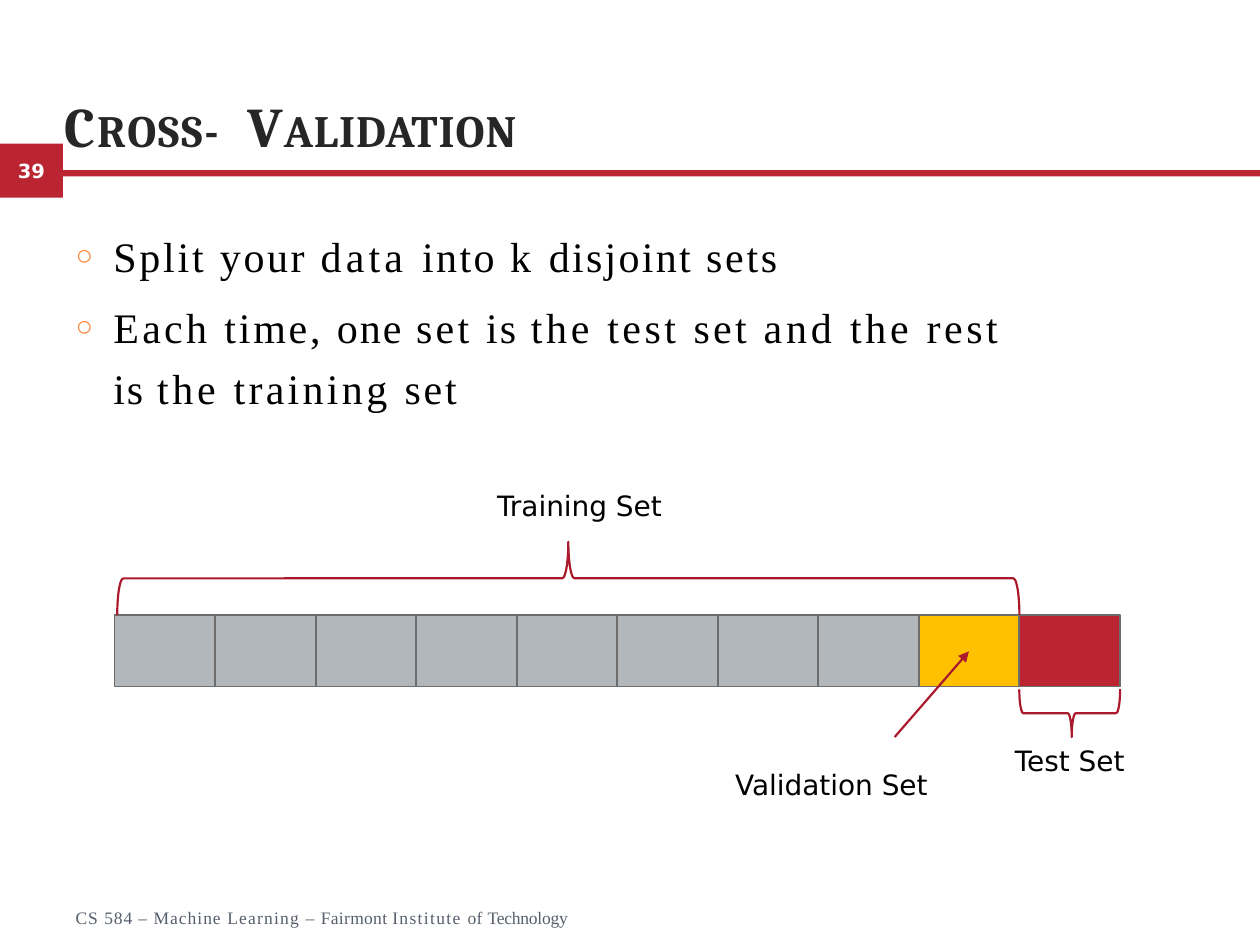
from lxml import etree
from pptx import Presentation
from pptx import util as u
from pptx.dml.color import RGBColor
from pptx.enum import shapes, text
from pptx.oxml.ns import qn

RED, BRACE, GREY, YELLOW, EDGE = "BB2532", "AB192D", "B2B7BB", "FFC000", "6D6D6D"
SERIF, SANS = "Times New Roman", "DejaVu Sans"


def rgb(value):
    return RGBColor.from_string(value)


class Deck:
    """Holds the drawing style and the current slide."""

    def __init__(self, slide):
        self.s = slide

    def place(self, sp, box):
        sp.left, sp.top, sp.width, sp.height = map(u.Inches, box)

    def frame(self, sp, insets, anchor=text.MSO_ANCHOR.TOP, wrap=True):
        tf = sp.text_frame
        tf.auto_size = text.MSO_AUTO_SIZE.NONE
        tf.word_wrap = wrap
        tf.vertical_anchor = anchor
        tf.margin_left, tf.margin_top, tf.margin_right, tf.margin_bottom = map(u.Inches, insets)
        return tf

    def runs(self, p, parts, size, font, color, bold=False, small_caps=False):
        """Add (wording, letter spacing in points) pairs to a paragraph."""
        for wording, spacing in parts:
            r = p.add_run()
            r.text = wording
            r.font.size, r.font.name, r.font.bold = u.Pt(size), font, bold
            r.font.color.rgb = rgb(color)
            rPr = r._r.get_or_add_rPr()
            if spacing:
                rPr.set("spc", str(round(spacing * 100)))
            if small_caps:
                rPr.set("cap", "small")

    def indent(self, p, left, first):
        pPr = p._p.get_or_add_pPr()
        pPr.set("marL", str(u.Inches(left)))
        pPr.set("indent", str(u.Inches(first)))
        return pPr

    def bullet(self, p, char, color, percent):
        pPr = self.indent(p, 0.31, -0.3)
        clr = etree.SubElement(pPr, qn("a:buClr"))
        etree.SubElement(clr, qn("a:srgbClr"), val=color)
        etree.SubElement(pPr, qn("a:buSzPct"), val=str(percent * 1000))
        etree.SubElement(pPr, qn("a:buFont"), typeface=SERIF)
        etree.SubElement(pPr, qn("a:buChar"), char=char)

    def title(self, box, parts):
        sp = self.s.shapes.title
        self.place(sp, box)
        p = self.frame(sp, (0, 0.01, 0, 0), text.MSO_ANCHOR.BOTTOM).paragraphs[0]
        p.alignment = text.PP_ALIGN.LEFT
        p.space_before = u.Pt(1)
        self.indent(p, 0.01, 0)
        self.runs(p, parts, 32, "Cambria", "262626", bold=True, small_caps=True)

    def bullets(self, box, items):
        sp = self.s.placeholders[1]
        self.place(sp, box)
        tf = self.frame(sp, (0, 0.18, 0, 0))
        for i, (before, spacing, parts) in enumerate(items):
            p = tf.add_paragraph() if i else tf.paragraphs[0]
            p.line_spacing, p.space_before = spacing, u.Pt(before)
            self.bullet(p, "○", "FD8537", 69)
            self.runs(p, parts, 24, SERIF, "000000")

    def footer(self, box, parts):
        sp = self.s.shapes.add_textbox(*map(u.Inches, box))
        p = self.frame(sp, (0, 0, 0, 0)).paragraphs[0]
        p.space_before = u.Pt(0.8)
        self.indent(p, 0.01, 0)
        self.runs(p, parts, 10, SERIF, "565F6C")

    def label(self, box, wording):
        sp = self.s.shapes.add_textbox(*map(u.Inches, box))
        p = self.frame(sp, (0.1, 0.05, 0.1, 0.05), wrap=False).paragraphs[0]
        p.alignment = text.PP_ALIGN.CENTER
        self.runs(p, [(wording, 0)], 16, SANS, "000000")

    def rect(self, box, fill, line=None):
        sp = self.s.shapes.add_shape(shapes.MSO_SHAPE.RECTANGLE, *map(u.Inches, box))
        sp.shadow.inherit = False
        sp.fill.solid()
        sp.fill.fore_color.rgb = rgb(fill)
        if line:
            sp.line.color.rgb, sp.line.width = rgb(line), u.Pt(1)
        else:
            sp.line.fill.background()
        return sp

    def badge(self, box, wording):
        sp = self.rect(box, RED)
        p = self.frame(sp, (0, 0, 0, 0), text.MSO_ANCHOR.MIDDLE).paragraphs[0]
        p.alignment = text.PP_ALIGN.CENTER
        self.runs(p, [(wording, 0)], 11.1, SANS, "FFFFFF", bold=True)

    def brace(self, box, rotation, middle=0.5):
        sp = self.s.shapes.add_shape(shapes.MSO_SHAPE.LEFT_BRACE, *map(u.Inches, box))
        sp.shadow.inherit = False
        sp.fill.background()
        sp.line.color.rgb, sp.line.width = rgb(BRACE), u.Pt(1.25)
        sp.rotation = rotation
        sp.adjustments[1] = middle

    def arrow(self, start, end):
        c = self.s.shapes.add_connector(
            shapes.MSO_CONNECTOR.STRAIGHT, *map(u.Inches, start + end))
        c.line.color.rgb, c.line.width = rgb(BRACE), u.Pt(1.25)
        etree.SubElement(c.line._get_or_add_ln(), qn("a:tailEnd"), type="triangle")
        etree.SubElement(c._element.spPr, qn("a:effectLst"))


def main():
    prs = Presentation()
    prs.slide_width, prs.slide_height = u.Inches(10), u.Inches(7.5)
    d = Deck(prs.slides.add_slide(prs.slide_layouts[1]))

    # Page number and rule
    d.badge((0, 1.14, 0.5, 0.43), "39")
    d.rect((0.5, 1.35, 9.5, 0.05), RED)

    # Title, list and footer
    d.title((0.5, 0.38, 9, 0.88), [("Cross- ", 1.2), ("Validation", 0.6)])
    d.bullets((0.59, 1.65, 7.63, 1.63), [
        (12.8, 1.0, [("Split ", 1.6), ("your ", 1.5), ("data ", 2.4), ("into ", 1.4),
                     ("k ", 2.1), ("disjoint ", 1.3), ("sets", 1.6)]),
        (6, 1.2, [("Each ", 1.9), ("time, ", 1.6), ("one ", 1.2), ("set ", 1.8),
                  ("is ", 1.2), ("the ", 2.1), ("test ", 2), ("set ", 1.8),
                  ("and ", 2.2), ("the ", 2.1), ("rest ", 2), ("is ", 1),
                  ("the ", 2.1), ("training ", 1.9), ("set", 1.6)]),
    ])
    d.footer((0.59, 7.2, 3.94, 0.2), [
        ("CS ", 0.6), ("584 ", 0.5), ("– Machine ", 0.6), ("Learning ", 0.7), ("– ", 0.6),
        ("Fairmont ", 0.2), ("Institute ", 0.8), ("of ", 0.2), ("Technology", -0.1)])

    # Ten folds: training, validation, test
    first, last = 0.91, 8.09
    folds = [GREY] * 8 + [YELLOW, RED]
    pitch = (last - first) / (len(folds) - 1)
    for i, fill in enumerate(folds):
        d.rect((first + i * pitch, 4.88, 0.8, 0.57), fill, EDGE)

    # Braces, labels and arrow
    d.brace((4.22, 1.01, 0.58, 7.16), 90)
    d.brace((8.3, 5.26, 0.38, 0.8), 270, 0.52)
    d.label((4.1, 3.83, 1, 1), "Training Set")
    d.label((7.99, 5.85, 1, 0.38), "Test Set")
    d.label((6.1, 6.04, 1, 1), "Validation Set")
    d.arrow((7.1, 5.85), (7.69, 5.17))

    prs.save("out.pptx")


if __name__ == "__main__":
    main()
